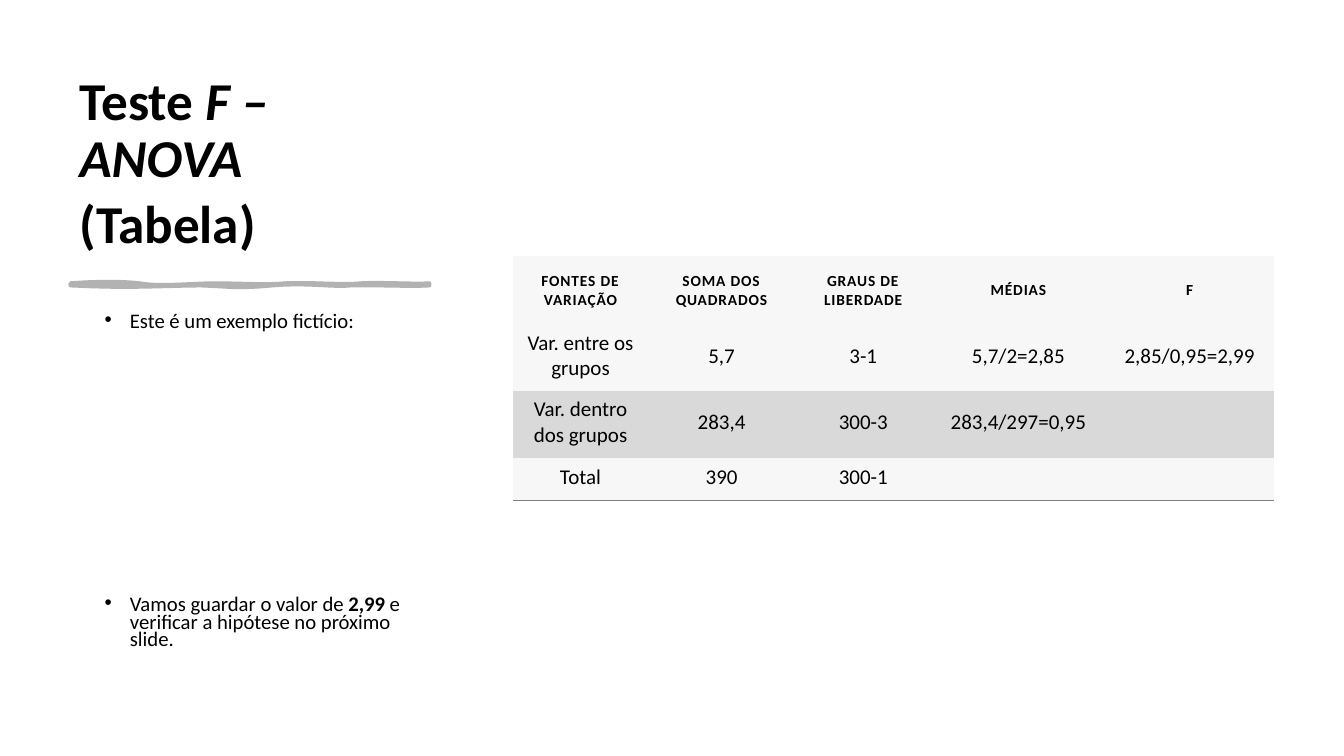
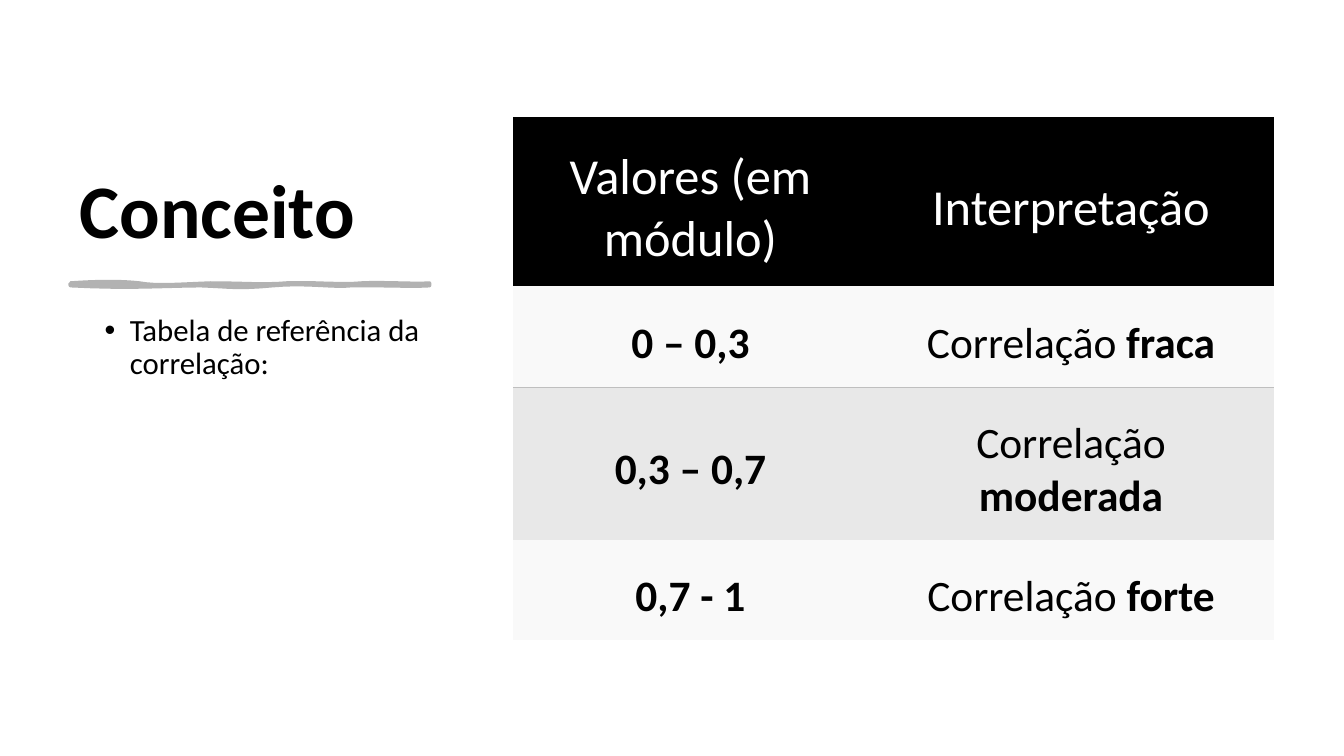
from lxml.etree import SubElement
from pptx import Presentation
from pptx.dml.color import RGBColor
from pptx.enum.text import MSO_ANCHOR, MSO_AUTO_SIZE, PP_ALIGN
from pptx.oxml import parse_xml
from pptx.oxml.ns import nsdecls, qn
from pptx.util import Cm, Pt

FONT = "Calibri"
COLORS = {
    "text": "000000", "white": "FFFFFF", "rule": "B2B2B2",
    "light": "F7F7F7", "band": "D9D9D9", "edge": "808080",
    "pale": "F9F9F9", "mid": "E8E8E8", "thin": "BFBFBF",
}
NO_GRID_STYLE = "{2D5ABB26-0587-4C30-8999-92F81FD0307C}"

# Boxes in cm: left, top, width, height
TITLE_BOX = (1.75, 1.78, 9.53, 4.78)
BODY_BOX = (1.75, 7.8, 9.53, 9.47)
RULE_AT = (1.78, 7.14)
TABLE_LEFT = 12.93

# Cubic segments of the brush stroke, in cm from its left end
RULE_TOP = [
    ((0.69, -0.05), (1.3, -0.05), (1.73, 0)),
    ((2.16, 0.08), (2.72, 0.03), (3.53, 0)),
    ((4.34, 0), (4.83, 0.05), (5.44, 0)),
    ((6.05, -0.03), (6.83, 0.05), (7.34, 0)),
    ((7.85, -0.03), (8.69, 0.03), (9.04, 0)),
]
RULE_BOTTOM = [
    ((8.59, 0.08), (7.47, 0.03), (7.06, 0.05)),
    ((6.65, 0.1), (5.94, -0.03), (5.08, 0.05)),
    ((4.19, 0.13), (4.09, 0.08), (3.28, 0.05)),
    ((2.44, 0.05), (1.57, 0.13), (0, 0.05)),
]


def rgb(name):
    return RGBColor.from_string(COLORS[name])


def write(p, text, size, color="text", bold=False, mark="bold"):
    """Fill a paragraph; parts between asterisks get the mark switched on."""
    for i, part in enumerate(text.split("*")):
        r = p.add_run()
        r.text = part
        r.font.name, r.font.size = FONT, Pt(size)
        r.font.color.rgb = rgb(color)
        r.font.bold = bold
        if i % 2:
            setattr(r.font, mark, True)


def place(sp, box, anchor):
    sp.left, sp.top, sp.width, sp.height = (Cm(v) for v in box)
    tf = sp.text_frame
    tf.word_wrap = True
    tf.auto_size = MSO_AUTO_SIZE.NONE
    tf.vertical_anchor = anchor
    return tf


def add_paragraphs(tf, lines, spacing):
    """Yield each line with its new, evenly spaced paragraph."""
    for i, line in enumerate(lines):
        p = tf.add_paragraph() if i else tf.paragraphs[0]
        p.alignment = PP_ALIGN.LEFT
        p.line_spacing = spacing
        p.space_before, p.space_after = Pt(0), Pt(6)
        yield p, line


def fill_title(s, lines, size):
    tf = place(s.shapes.title, TITLE_BOX, MSO_ANCHOR.BOTTOM)
    for p, line in add_paragraphs(tf, lines, 0.9):
        write(p, line, size, bold=True, mark="italic")


def fill_bullets(s, lines, size, spacing, gap=0):
    tf = place(s.placeholders[1], BODY_BOX, MSO_ANCHOR.TOP)
    for p, line in add_paragraphs(tf, lines, spacing):
        if line != lines[0]:
            p.space_before = Pt(gap)
        pPr = p._p.get_or_add_pPr()
        pPr.set("marL", str(Cm(1.27)))
        pPr.set("indent", str(-Cm(0.635)))
        SubElement(pPr, qn("a:buFont"), typeface="Arial")
        SubElement(pPr, qn("a:buChar"), char="•")
        write(p, line, size)


def curve(start, segments, steps=8):
    """Points along a chain of cubic Bezier segments."""
    points = []
    for a, b, end in segments:
        for t in (k / steps for k in range(1, steps + 1)):
            u = 1 - t
            points.append(tuple(
                u**3 * p0 + 3 * u * u * t * p1 + 3 * u * t * t * p2 + t**3 * p3
                for p0, p1, p2, p3 in zip(start, a, b, end)))
        start = end
    return points


def add_brush_rule(s, left, top):
    corner = (9.04, 0.05)
    outline = [(0, 0), *curve((0, 0), RULE_TOP), corner, *curve(corner, RULE_BOTTOM)]
    points = [(Cm(left + x), Cm(top + y)) for x, y in outline]
    fb = s.shapes.build_freeform(*points[0])
    fb.add_line_segments(points[1:], close=True)
    sp = fb.convert_to_shape()
    sp.shadow.inherit = False
    sp.fill.solid()
    sp.fill.fore_color.rgb = rgb("rule")
    sp.line.color.rgb = rgb("rule")
    sp.line.width = Pt(3)
    SubElement(sp.line._get_or_add_ln(), qn("a:round"))


def set_border(cell, side, color):
    cell._tc.get_or_add_tcPr().insert(0, parse_xml(
        f'<a:{side} {nsdecls("a")} w="12700"><a:solidFill>'
        f'<a:srgbClr val="{COLORS[color]}"/></a:solidFill></a:{side}>'))


def format_cell(cell, text, fill, insets, size, spc=0, **style):
    cell.margin_left, cell.margin_top, cell.margin_right, cell.margin_bottom = (
        Cm(v) for v in insets)
    cell.vertical_anchor = MSO_ANCHOR.MIDDLE
    cell.fill.solid()
    cell.fill.fore_color.rgb = rgb(fill)
    p = cell.text_frame.paragraphs[0]
    p.alignment = PP_ALIGN.CENTER
    write(p, text, size, **style)
    for r in p.runs:
        r.font._element.set("spc", str(spc))


def add_grid(s, top, widths, heights, rows, fills, head, body, border):
    """Table whose first row takes the head style and the others the body style."""
    table = s.shapes.add_table(len(rows), len(widths), Cm(TABLE_LEFT), Cm(top),
                               Cm(sum(widths)), Cm(sum(heights))).table
    table._tbl.tblPr.find(qn("a:tableStyleId")).text = NO_GRID_STYLE
    for col, width in zip(table.columns, widths):
        col.width = Cm(width)
    for row, height in zip(table.rows, heights):
        row.height = Cm(height)
    border_row, border_color = border
    for i, (texts, fill) in enumerate(zip(rows, fills)):
        for j, text in enumerate(texts):
            cell = table.cell(i, j)
            format_cell(cell, text, fill, **(body if i else head))
            if i == border_row:
                set_border(cell, "lnB", border_color)


def add_topic_slide(prs, title, bullets, grid):
    s = prs.slides.add_slide(prs.slide_layouts[1])
    fill_title(s, **title)
    add_brush_rule(s, *RULE_AT)
    fill_bullets(s, **bullets)
    add_grid(s, **grid)


def main():
    prs = Presentation()
    prs.slide_width, prs.slide_height = Cm(33.87), Cm(19.05)

    add_topic_slide(
        prs,
        title=dict(lines=["Teste *F – ANOVA*", "(Tabela)"], size=38),
        bullets=dict(
            lines=["Este é um exemplo fictício:",
                   "Vamos guardar o valor de *2,99* e verificar a hipótese no próximo slide."],
            size=14.8, spacing=0.7, gap=184),
        grid=dict(
            top=6.45,
            widths=[3.4, 3.71, 3.43, 4.39, 4.24],
            heights=[1.73, 1.68, 1.68, 1.07],
            rows=[
                ["FONTES DE VARIAÇÃO", "SOMA DOS QUADRADOS", "GRAUS DE LIBERDADE", "MÉDIAS", "F"],
                ["Var. entre os grupos", "5,7", "3-1", "5,7/2=2,85", "2,85/0,95=2,99"],
                ["Var. dentro dos grupos", "283,4", "300-3", "283,4/297=0,95", ""],
                ["Total", "390", "300-1", "", ""],
            ],
            fills=["light", "light", "band", "light"],
            head=dict(insets=(0.36,) * 4, size=11, bold=True, spc=60),
            body=dict(insets=(0.23, 0.13, 0.23, 0.23), size=15),
            border=(3, "edge")))

    wide = (0.66, 0.66, 0.66, 0.33)
    add_topic_slide(
        prs,
        title=dict(lines=["Conceito"], size=54),
        bullets=dict(lines=["Tabela de referência da correlação:"], size=22, spacing=0.9),
        grid=dict(
            top=2.95,
            widths=[8.94, 10.24],
            heights=[4.27, 2.54, 3.84, 2.54],
            rows=[
                ["Valores (em módulo)", "Interpretação"],
                ["*0 – 0,3*", "Correlação *fraca*"],
                ["*0,3 – 0,7*", "Correlação *moderada*"],
                ["*0,7 - 1*", "Correlação *forte*"],
            ],
            fills=["text", "pale", "mid", "pale"],
            head=dict(insets=wide, size=36, color="white"),
            body=dict(insets=wide, size=31),
            border=(1, "thin")))

    prs.save("out.pptx")


if __name__ == "__main__":
    main()
